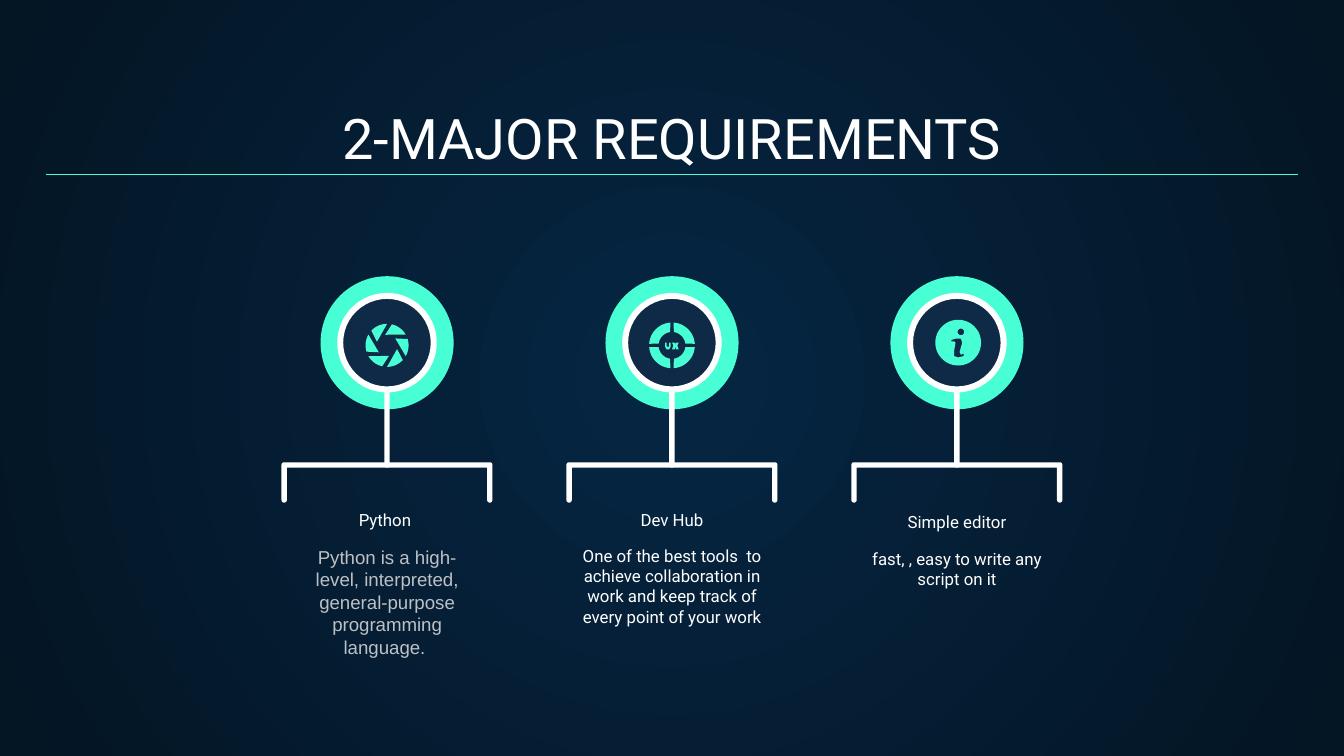
from math import cos, sin, radians
from lxml import etree
from pptx import Presentation
from pptx.dml.color import RGBColor
from pptx.enum.shapes import MSO_CONNECTOR, MSO_SHAPE as SHAPE
from pptx.enum.text import MSO_ANCHOR as ANCHOR, MSO_AUTO_SIZE, PP_ALIGN
from pptx.oxml.ns import qn
from pptx.util import Inches, Pt

GLOW = RGBColor(0x05, 0x26, 0x43)
NIGHT = RGBColor(0x04, 0x15, 0x23)
NAVY = RGBColor(0x0E, 0x2A, 0x47)
MINT = RGBColor(0x48, 0xFF, 0xD5)
WHITE = RGBColor(0xFF, 0xFF, 0xFF)
GREY = RGBColor(0xBD, 0xC1, 0xC6)


# Basic parts
def paint(sp, color):
    sp.shadow.inherit = False
    sp.fill.solid()
    sp.fill.fore_color.rgb = color
    sp.line.fill.background()
    return sp


def add_preset(s, kind, cx, cy, w, h, color):
    sp = s.shapes.add_shape(kind, Inches(cx - w / 2), Inches(cy - h / 2),
                            Inches(w), Inches(h))
    return paint(sp, color)


def add_outline(s, cx, cy, color, *contours):
    """Fill closed contours whose points are relative to (cx, cy)."""
    placed = [[(Inches(cx + x), Inches(cy + y)) for x, y in c] for c in contours]
    fb = s.shapes.build_freeform(*placed[0][0])
    for i, pts in enumerate(placed):
        if i:
            fb.move_to(*pts[0])
        fb.add_line_segments(pts[1:], close=True)
    return paint(fb.convert_to_shape(), color)


def arc(r, start, end, cx=0, cy=0, steps=12):
    angles = [radians(start + (end - start) * i / steps) for i in range(steps + 1)]
    return [(cx + r * cos(a), cy + r * sin(a)) for a in angles]


def write(sp, text, size, font, color, anchor):
    tf = sp.text_frame
    tf.word_wrap = True
    tf.auto_size = MSO_AUTO_SIZE.NONE
    tf.vertical_anchor = anchor
    tf.margin_left = tf.margin_right = Inches(0.1)
    tf.margin_top = tf.margin_bottom = Inches(0.1)
    p = tf.paragraphs[0]
    p.alignment = PP_ALIGN.CENTER
    r = p.add_run()
    r.text = text
    r.font.size, r.font.name = Pt(size), font
    r.font.color.rgb = color


def add_text(s, cx, y, w, h, *style):
    sp = s.shapes.add_textbox(Inches(cx - w / 2), Inches(y), Inches(w), Inches(h))
    write(sp, *style)


# Icons, centred on (cx, cy)
def aperture_icon(s, cx, cy):
    for turn in range(0, 360, 60):
        blade = arc(0.16, 163 + turn, 210 + turn) + arc(0.08, 140 + turn, 140 + turn, steps=1)
        add_outline(s, cx, cy + 0.02, MINT, blade)


def ux_icon(s, cx, cy):
    cy += 0.02
    for turn in range(0, 360, 90):
        add_outline(s, cx, cy, MINT,
                    arc(0.17, 4 + turn, 86 + turn) + arc(0.1, 82 + turn, 8 + turn))
    letter_u = [(-0.05, -0.02), (-0.04, -0.02), (-0.04, 0.01), (-0.02, 0.01),
                (-0.02, -0.02), (-0.01, -0.02), (-0.01, 0.01), (-0.02, 0.03),
                (-0.04, 0.03), (-0.05, 0.01)]
    letter_x = [(0, -0.02), (0.02, -0.02), (0.025, -0.01), (0.03, -0.02),
                (0.05, -0.02), (0.04, 0), (0.05, 0.03), (0.03, 0.03),
                (0.025, 0.01), (0.02, 0.03), (0, 0.03), (0.01, 0)]
    for letter in (letter_u, letter_x):
        add_outline(s, cx, cy, MINT, letter)


def info_icon(s, cx, cy):
    dot = arc(0.025, 0, 360, 0.02, -0.08)
    stem = [(-0.05, -0.02), (-0.02, -0.03), (0.02, -0.03), (0.03, 0), (0.01, 0.07),
            (0.02, 0.09), (0.04, 0.08), (0.04, 0.1), (0, 0.11), (-0.03, 0.1),
            (-0.03, 0.06), (-0.02, 0), (-0.03, -0.01), (-0.05, -0.01)]
    add_outline(s, cx + 0.01, cy, MINT, arc(0.17, 0, 360, steps=48), dot, stem)


# Slide regions
def add_background(s):
    fill = s.background.fill
    fill.gradient()
    for stop, color in zip(fill.gradient_stops, (GLOW, NIGHT)):
        stop.color.rgb = color
    grad = s.element.find('.//' + qn('a:gradFill'))
    grad.remove(grad.find(qn('a:lin')))
    radial = etree.SubElement(grad, qn('a:path'), {'path': 'circle'})
    etree.SubElement(radial, qn('a:fillToRect'), dict.fromkeys('ltrb', '50000'))


def add_header(s, x, y, w, h):
    title = s.shapes.title
    title.left, title.top, title.width, title.height = map(Inches, (x, y, w, h))
    write(title, '2-MAJOR REQUIREMENTS', 30, 'Roboto', WHITE, ANCHOR.BOTTOM)
    rule_y = Inches(y + 0.59)
    rule = s.shapes.add_connector(MSO_CONNECTOR.STRAIGHT, Inches(x), rule_y,
                                  Inches(x + w), rule_y)
    rule.line.color.rgb, rule.line.width = MINT, Pt(0.75)
    etree.SubElement(rule.element.spPr, qn('a:effectLst'))


def add_bracket(s, cx, y, w, h, t=0.04):
    side, r = w / 2, t / 2
    add_outline(s, cx, y, WHITE,
                arc(r, 180, 270, r - side, r) + arc(r, 270, 360, side - r, r)
                + arc(r, 0, 180, side - r, h - r) + [(side - t, t), (t - side, t)]
                + arc(r, 0, 180, r - side, h - r))


def add_requirement(s, cx, y, icon, name, name_y, body):
    cy = y + 0.49
    add_bracket(s, cx, y + 1.38, 1.57, 0.3)
    add_preset(s, SHAPE.OVAL, cx, cy, 0.99, 0.99, MINT)
    stem = add_preset(s, SHAPE.ROUNDED_RECTANGLE, cx, y + 0.92, 0.04, 1, WHITE)
    stem.adjustments[0] = 0.5
    add_preset(s, SHAPE.OVAL, cx, cy, 0.7, 0.7, NAVY)
    ring = add_preset(s, SHAPE.DONUT, cx, cy, 0.74, 0.74, WHITE)
    ring.adjustments[0] = 0.06
    icon(s, cx, cy)
    add_text(s, cx, name_y, 2.27, 0.21, name, 9, 'Roboto', WHITE, ANCHOR.BOTTOM)
    add_text(s, cx, name_y + 0.13, 1.53, 0.55, *body, ANCHOR.TOP)


prs = Presentation()
prs.slide_width, prs.slide_height = Inches(10), Inches(10) * 9 // 16
s = prs.slides.add_slide(prs.slide_layouts[5])
add_background(s)
add_header(s, 0.34, 0.71, 9.32, 0.66)

requirements = [
    (aperture_icon, 'Python ', 3.83,
     ('Python is a high-level, interpreted, general-purpose programming language.\u00a0',
      10, 'Arial', GREY)),
    (ux_icon, 'Dev Hub', 3.83,
     ('One of the best tools  to achieve collaboration in work and keep track '
      'of every point of your work', 9, 'Roboto', WHITE)),
    (info_icon, 'Simple editor', 3.85,
     ('fast, , easy to write any script on it', 9, 'Roboto', WHITE)),
]
for i, requirement in enumerate(requirements):
    add_requirement(s, 2.88 + 2.12 * i, 2.06, *requirement)

prs.save("out.pptx")
